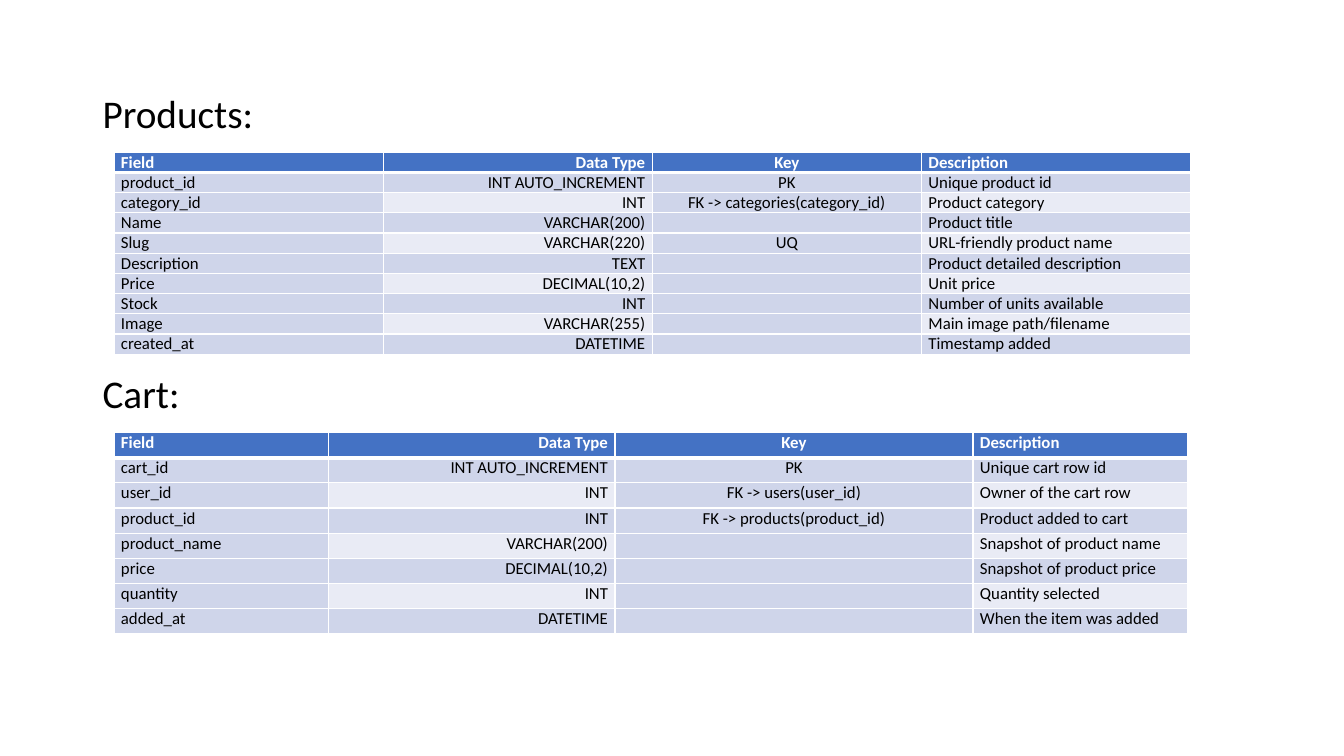
from dataclasses import dataclass

from lxml import etree
from pptx import Presentation
from pptx.dml.color import RGBColor
from pptx.enum.text import PP_ALIGN
from pptx.oxml.ns import qn
from pptx.util import Inches, Pt

LEFT, RIGHT, MID = PP_ALIGN.LEFT, PP_ALIGN.RIGHT, PP_ALIGN.CENTER


@dataclass(frozen=True)
class Theme:
    font: str = "Calibri"
    title: int = 28
    body: int = 12
    ink: str = "000000"
    white: str = "FFFFFF"
    head: str = "4472C4"
    band: str = "CFD5EA"
    pale: str = "E9EBF5"
    thin: int = 1
    thick: int = 3


THEME = Theme()

# Table content
HEAD = ("Field", "Data Type", "Key", "Description")
ALIGNS = (LEFT, RIGHT, MID, LEFT)
PRODUCTS = [
    HEAD,
    ("product_id", "INT AUTO_INCREMENT", "PK", "Unique product id"),
    ("category_id", "INT", "FK -> categories(category_id)", "Product category"),
    ("Name", "VARCHAR(200)", "", "Product title"),
    ("Slug", "VARCHAR(220)", "UQ", "URL-friendly product name"),
    ("Description", "TEXT", "", "Product detailed description"),
    ("Price", "DECIMAL(10,2)", "", "Unit price"),
    ("Stock", "INT", "", "Number of units available"),
    ("Image", "VARCHAR(255)", "", "Main image path/filename"),
    ("created_at", "DATETIME", "", "Timestamp added"),
]
CART = [
    HEAD,
    ("cart_id", "INT AUTO_INCREMENT", "PK", "Unique cart row id"),
    ("user_id", "INT", "FK -> users(user_id)", "Owner of the cart row"),
    ("product_id", "INT", "FK -> products(product_id)", "Product added to cart"),
    ("product_name", "VARCHAR(200)", "", "Snapshot of product name"),
    ("price", "DECIMAL(10,2)", "", "Snapshot of product price"),
    ("quantity", "INT", "", "Quantity selected"),
    ("added_at", "DATETIME", "", "When the item was added"),
]


def add_run(para, text, size, color, bold=False):
    run = para.add_run()
    run.text = text
    font = run.font
    font.name, font.size, font.bold = THEME.font, Pt(size), bold
    font.color.rgb = RGBColor.from_string(color)


def add_titles(slide, titles):
    """Write the headings, each a (text, space before) pair, in one box."""
    box = slide.shapes.add_textbox(
        Inches(0.92), Inches(0.89), Inches(11.5), Inches(5.86))
    frame = box.text_frame
    frame.word_wrap = True
    for i, (text, gap) in enumerate(titles):
        para = frame.add_paragraph() if i else frame.paragraphs[0]
        para.line_spacing = 0.9
        if gap:
            para.space_before = Pt(gap)
        add_run(para, text, THEME.title, THEME.ink)


def add_edges(cell, row):
    """Draw white cell borders, with a thick rule under the header."""
    props = cell._tc.get_or_add_tcPr()
    heavy = {0: "lnB", 1: "lnT"}.get(row)
    for i, side in enumerate(("lnL", "lnR", "lnT", "lnB")):
        width = THEME.thick if side == heavy else THEME.thin
        line = etree.Element(qn("a:" + side), w=str(Pt(width)))
        fill = etree.SubElement(line, qn("a:solidFill"))
        etree.SubElement(fill, qn("a:srgbClr"), val=THEME.white)
        props.insert(i, line)


def fill_cell(cell, text, row, col):
    if row == 0:
        back = THEME.head
    elif row % 2 == 0 and col % 2:
        back = THEME.pale
    else:
        back = THEME.band
    cell.fill.solid()
    cell.fill.fore_color.rgb = RGBColor.from_string(back)
    cell.margin_left = cell.margin_right = Inches(0.07)
    cell.margin_top = cell.margin_bottom = 0
    add_edges(cell, row)

    para = cell.text_frame.paragraphs[0]
    para.alignment = ALIGNS[col]
    if text:
        color = THEME.ink if row else THEME.white
        add_run(para, text, THEME.body, color, bold=row == 0)
    else:
        # Keep empty cells as low as the rest of the row
        etree.SubElement(para._p, qn("a:endParaRPr"), sz=str(THEME.body * 100))


def add_grid(slide, top, rows, widths, height):
    frame = slide.shapes.add_table(
        len(rows), len(widths), Inches(1.13), Inches(top),
        Inches(sum(widths)), Inches(height * len(rows)))
    table = frame.table
    for col, width in zip(table.columns, widths):
        col.width = Inches(width)
    for r, texts in enumerate(rows):
        table.rows[r].height = Inches(height)
        for c, text in enumerate(texts):
            fill_cell(table.cell(r, c), text, r, c)


def main():
    deck = Presentation()
    deck.slide_width, deck.slide_height = Inches(13.33), Inches(7.5)
    slide = deck.slides.add_slide(deck.slide_layouts[6])

    # Headings
    add_titles(slide, [("Products:", 0), ("Cart:", 170)])

    # Tables
    add_grid(slide, 1.51, PRODUCTS, [2.67] * 4, 0.2)
    add_grid(slide, 4.29, CART, [2.13, 2.84, 3.55, 2.13], 0.25)

    deck.save("out.pptx")


if __name__ == "__main__":
    main()
